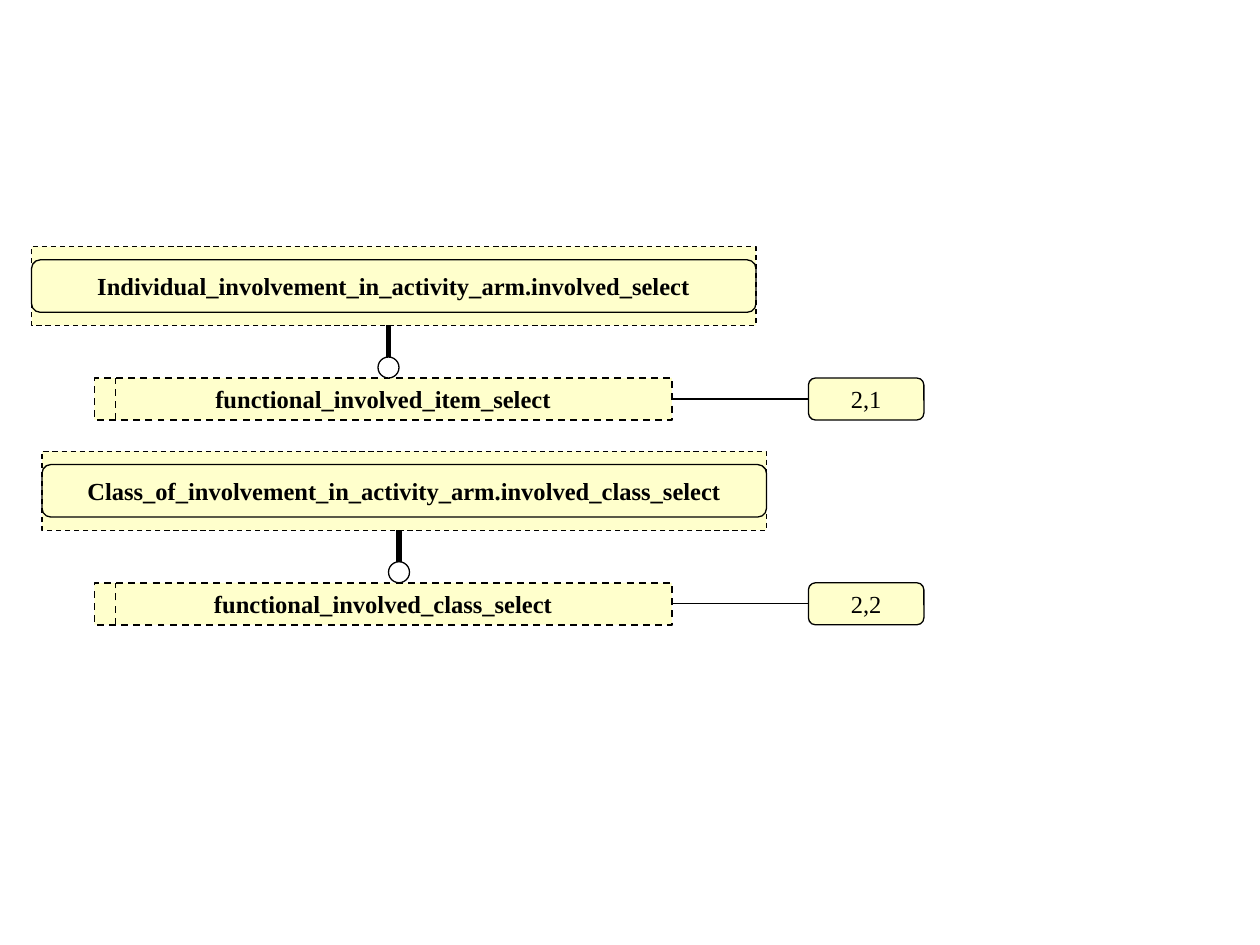
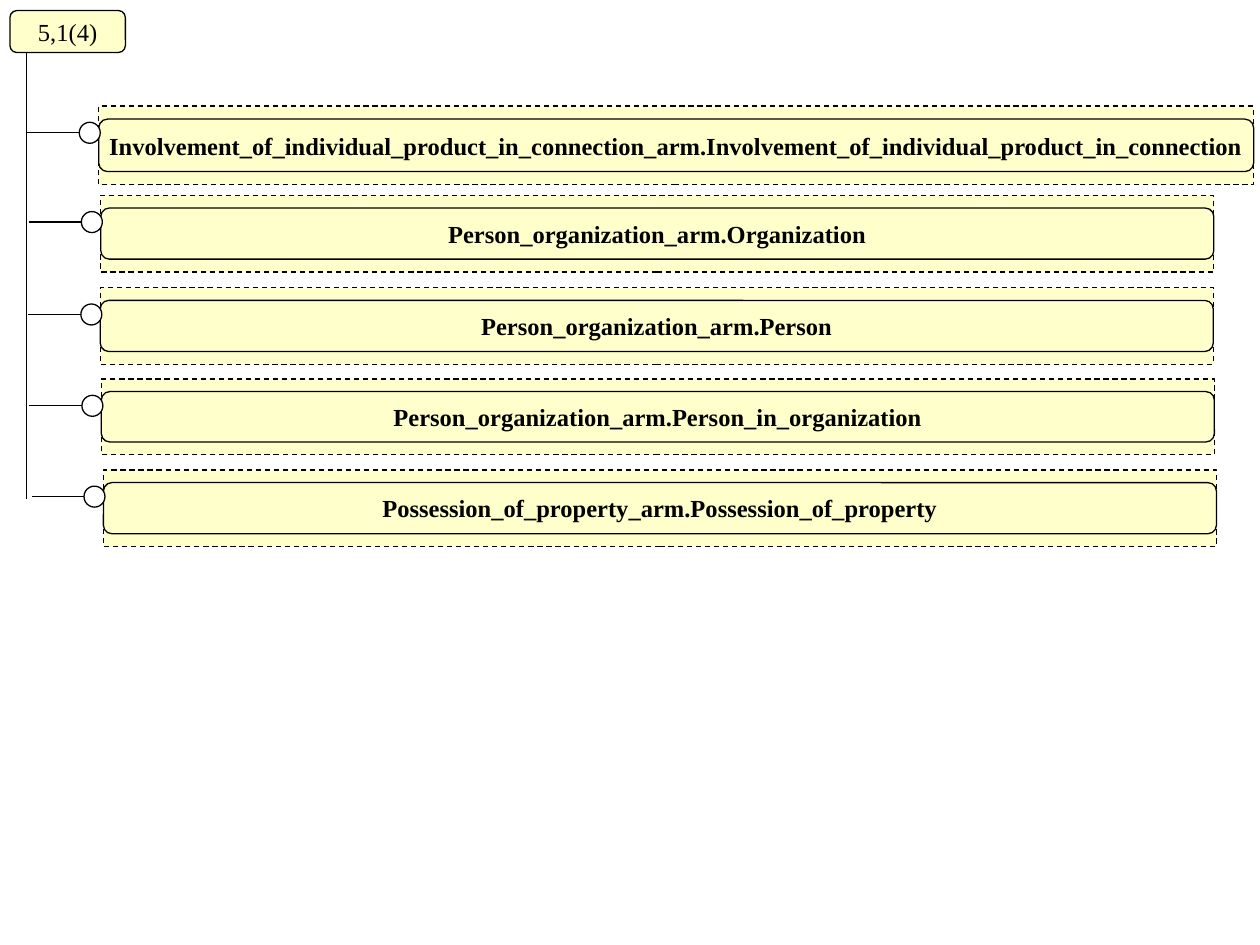
"""Builds two EXPRESS-G diagram slides on a grid of 120 columns by 90 rows."""
import pptx
import pptx.dml.color
import pptx.enum.dml
import pptx.enum.shapes
import pptx.enum.text
import pptx.oxml.ns
import pptx.util
from lxml import etree

COLORS = {"box": "FFFFCC", "circle": "FFFFFF", "ink": "000000"}
FONT, TEXT_SIZE = "Times New Roman", 14
COLUMNS, ROWS = 120, 90
SLIDE_WIDTH, SLIDE_HEIGHT = pptx.util.Inches(10), pptx.util.Inches(7.5)
PRESET = pptx.enum.shapes.MSO_SHAPE
REFERENCE_WIDTH, BAR_HEIGHT, CIRCLE_SIZE = 11, 4, 2


def color(name):
    """Return the named colour."""
    return pptx.dml.color.RGBColor.from_string(COLORS[name])


def place(x, y):
    """Turn a grid column and row into slide lengths."""
    return round(SLIDE_WIDTH * x / COLUMNS), round(SLIDE_HEIGHT * y / ROWS)


def style_line(line, weight, dashed):
    """Set the ink, weight and dash of an outline or a line."""
    line.color.rgb = color("ink")
    line.width = pptx.util.Pt(weight)
    if dashed:
        line.dash_style = pptx.enum.dml.MSO_LINE.DASH


def add_node(shapes, preset, left, top, width, height, fill=None, weight=0.75, dashed=False):
    """Add one outlined shape, unfilled unless a fill is named."""
    node = shapes.add_shape(preset, *place(left, top), *place(width, height))
    node.shadow.inherit = False
    if fill:
        node.fill.solid()
        node.fill.fore_color.rgb = color(fill)
    else:
        node.fill.background()
    style_line(node.line, weight, dashed)
    return node


def add_label(node, text, bold=True):
    """Write a centred, unwrapped label into a shape."""
    frame = node.text_frame
    frame.word_wrap = False
    frame.vertical_anchor = pptx.enum.text.MSO_ANCHOR.MIDDLE
    paragraph = frame.paragraphs[0]
    paragraph.text = text
    paragraph.alignment = pptx.enum.text.PP_ALIGN.CENTER
    paragraph.font.name = FONT
    paragraph.font.size = pptx.util.Pt(TEXT_SIZE)
    paragraph.font.bold = bold
    paragraph.font.color.rgb = color("ink")


def add_line(shapes, start, end, weight=0.75, dashed=False):
    """Join two grid points with a straight line."""
    line = shapes.add_connector(
        pptx.enum.shapes.MSO_CONNECTOR.STRAIGHT, *place(*start), *place(*end))
    style_line(line.line, weight, dashed)
    etree.SubElement(line._element.spPr, pptx.oxml.ns.qn("a:effectLst"))


def add_external(slide, text, left, top, width, height):
    """Add an entity of another schema: a rounded box in a dashed frame."""
    shapes = slide.shapes.add_group_shape().shapes
    frame = add_node(shapes, PRESET.RECTANGLE, left, top, width, height, "box", dashed=True)
    add_label(frame, text)
    add_node(shapes, PRESET.ROUNDED_RECTANGLE, left, top + height / 6, width, height * 2 / 3)


def add_select(slide, text, left, top, width):
    """Add a select type: a dashed box with a second left edge."""
    shapes = slide.shapes.add_group_shape().shapes
    box = add_node(shapes, PRESET.RECTANGLE, left, top, width, BAR_HEIGHT, "box", 1, True)
    add_label(box, text)
    add_line(shapes, (left + 2, top + BAR_HEIGHT), (left + 2, top), 1, True)


def add_reference(slide, text, left, top):
    """Add a rounded page reference."""
    box = add_node(slide.shapes, PRESET.ROUNDED_RECTANGLE, left, top,
                   REFERENCE_WIDTH, BAR_HEIGHT, "box")
    add_label(box, text, bold=False)


def add_circle(slide, left, top):
    """Add the circle that ends a relation."""
    add_node(slide.shapes, PRESET.OVAL, left, top, CIRCLE_SIZE, CIRCLE_SIZE, "circle")


def add_extension(slide, parent, parent_left, select, page, top):
    """Add a parent select, its extension below and the page reference."""
    parent_height, stem_x = 7.5, parent_left + 34
    parent_bottom = top + parent_height
    select_left, select_top, select_width, page_left = 9, top + 12.5, 55, 77
    select_right, middle = select_left + select_width, select_top + BAR_HEIGHT / 2
    add_select(slide, select, select_left, select_top, select_width)
    add_reference(slide, page, page_left, select_top)
    add_line(slide.shapes, (select_right, middle), (page_left, middle))
    add_external(slide, parent, parent_left, top, 69, parent_height)
    circle_top = select_top - CIRCLE_SIZE
    add_circle(slide, stem_x - CIRCLE_SIZE / 2, circle_top)
    add_line(slide.shapes, (stem_x, circle_top), (stem_x, parent_bottom), 3)


def add_branch(slide, text, left, top, width, height):
    """Add an external entity with its circle and stem from the trunk."""
    middle, circle_left = top + 2.55, left - 1.85
    add_external(slide, text, left, top, width, height)
    add_circle(slide, circle_left, middle - CIRCLE_SIZE / 2)
    add_line(slide.shapes, (circle_left, middle), (circle_left - 5, middle))


def main():
    """Build and save both slides."""
    deck = pptx.Presentation()
    deck.slide_width, deck.slide_height = SLIDE_WIDTH, SLIDE_HEIGHT
    blank = deck.slide_layouts[6]

    selects = deck.slides.add_slide(blank)
    extensions = [
        ("Individual_involvement_in_activity_arm.involved_select", 3,
         "functional_involved_item_select", "2,1"),
        ("Class_of_involvement_in_activity_arm.involved_class_select", 4,
         "functional_involved_class_select", "2,2"),
    ]
    for index, extension in enumerate(extensions):
        add_extension(selects, *extension, top=23.5 + 19.5 * index)

    members = deck.slides.add_slide(blank)
    branches = [
        ("Involvement_of_individual_product_in_connection_arm."
         "Involvement_of_individual_product_in_connection", 9.4, 10.1, 110, 7.5),
        ("Person_organization_arm.Organization", 9.6, 18.6, 106, 7.3),
        ("Person_organization_arm.Person", 9.55, 27.4, 106, 7.3),
        ("Person_organization_arm.Person_in_organization", 9.65, 36.1, 106, 7.2),
        ("Possession_of_property_arm.Possession_of_property", 9.85, 44.75, 106, 7.3),
    ]
    for branch in branches:
        add_branch(members, *branch)
    add_line(members.shapes, (2.55, 47.5), (2.55, 5))
    add_reference(members, "5,1(4)", 0.95, 1)

    deck.save("out.pptx")


if __name__ == "__main__":
    main()
